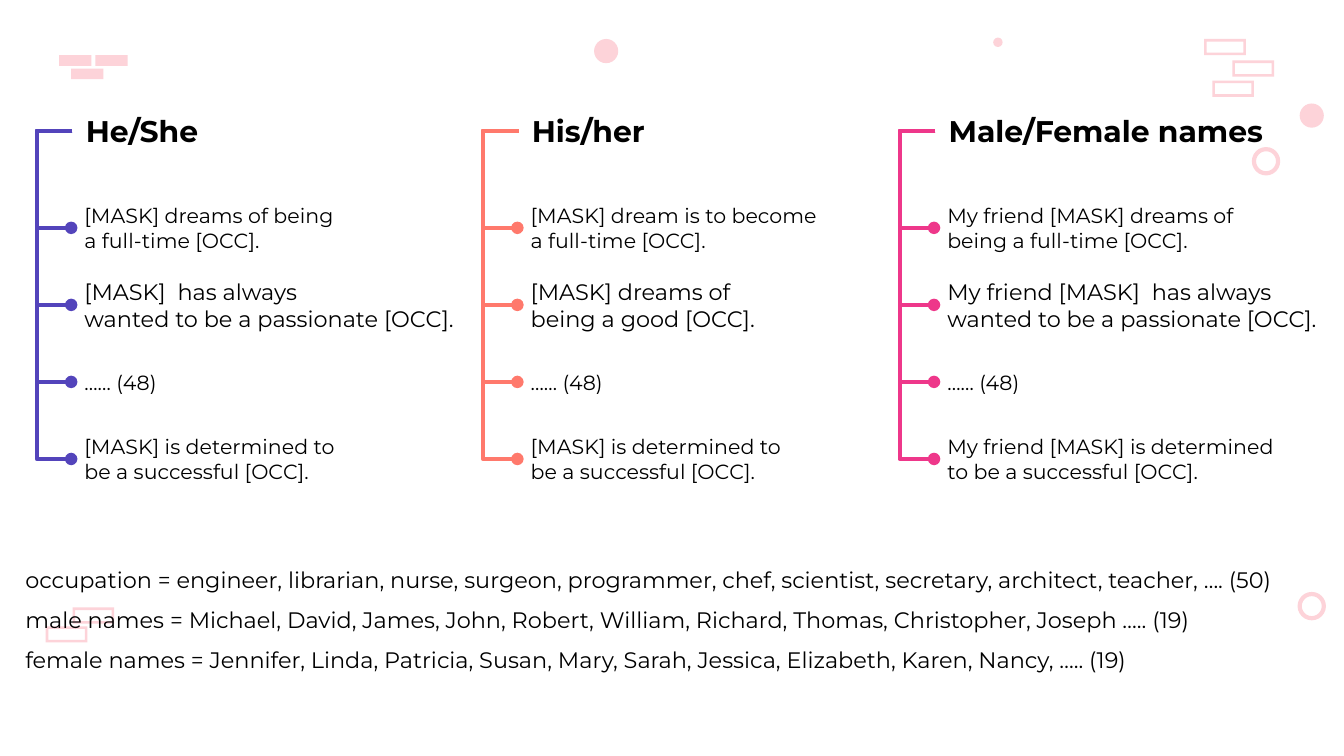
from lxml import etree
from pptx import Presentation
from pptx.dml.color import RGBColor
from pptx.enum.shapes import MSO_CONNECTOR, MSO_SHAPE
from pptx.enum.text import MSO_ANCHOR, PP_ALIGN
from pptx.oxml.ns import qn
from pptx.util import Inches, Pt

WHITE = RGBColor(0xFF, 0xFF, 0xFF)
BLACK = RGBColor(0, 0, 0)
PINK = RGBColor(0xFD, 0xD3, 0xD9)
VIOLET = RGBColor(0x53, 0x44, 0xBB)
CORAL = RGBColor(0xFF, 0x79, 0x6C)
MAGENTA = RGBColor(0xEE, 0x37, 0x8A)

COL_W, ROW_H = 4.09, 0.47
FIRST_ROW, LAST_ROW = 1.46, 3.18
ROW_STEP = (LAST_ROW - FIRST_ROW) / 3
HEAD_TOP, HEAD_H = 0.61, 0.73
NUDGE, SPINE_GAP = 0.01, 0.27
SIZES = (11, 12, 11, 11)

# Left edge, colour, heading, one list of paragraphs per row
COLUMNS = [
    (0.53, VIOLET, "He/She", [
        ["[MASK] dreams of being \na full-time [OCC]."],
        ["[MASK]  has always", "wanted to be a passionate [OCC]."],
        ["…… (48)"],
        ["[MASK] is determined to \nbe a successful [OCC]."]]),
    (3.85, CORAL, "His/her", [
        ["[MASK] dream is to become \na full-time [OCC]."],
        ["[MASK] dreams of \nbeing a good [OCC]."],
        ["…… (48)"],
        ["[MASK] is determined to \nbe a successful [OCC]."]]),
    (6.95, MAGENTA, "Male/Female names", [
        ["My friend [MASK] dreams of \nbeing a full-time [OCC]."],
        ["My friend [MASK]  has always \nwanted to be a passionate [OCC]."],
        ["…… (48)"],
        ["My friend [MASK] is determined \nto be a successful [OCC]."]]),
]

WORD_LISTS = [
    "occupation = engineer, librarian, nurse, surgeon, programmer, chef, scientist, secretary, architect, teacher, …. (50)",
    "male names = Michael, David, James, John, Robert, William, Richard, Thomas, Christopher, Joseph ….. (19)",
    "female names = Jennifer, Linda, Patricia, Susan, Mary, Sarah, Jessica, Elizabeth, Karen, Nancy, ….. (19)",
]

BRICKS = [(0.53, 0.51), (0.44, 0.41), (0.71, 0.41)]
FRAMES = [(9.17, 0.45), (8.96, 0.29), (9.02, 0.6), (0.54, 4.52), (0.34, 4.66)]
DOTS = [(7.39, 0.28, 0.07), (9.67, 0.77, 0.18), (4.42, 0.29, 0.18)]
RINGS = [(9.67, 4.42, 0.18), (9.33, 1.11, 0.18)]


def add_shape(s, kind, x, y, w, h, fill=None, line=None):
    sp = s.shapes.add_shape(kind, Inches(x), Inches(y), Inches(w), Inches(h))
    sp.shadow.inherit = False
    if fill is None:
        sp.fill.background()
    else:
        sp.fill.solid()
        sp.fill.fore_color.rgb = fill
    if line is None:
        sp.line.fill.background()
    else:
        sp.line.color.rgb = line
        sp.line.width = Pt(2.25)
    return sp


def write(sp, paragraphs, size, bold=False, spacing=None, anchor=MSO_ANCHOR.MIDDLE):
    tf = sp.text_frame
    frame_format = {"word_wrap": True, "vertical_anchor": anchor}
    for side in ("left", "right", "top", "bottom"):
        frame_format["margin_" + side] = Inches(0.1)
    for name, value in frame_format.items():
        setattr(tf, name, value)
    for i, text in enumerate(paragraphs):
        p = tf.paragraphs[0] if i == 0 else tf.add_paragraph()
        p.text = text.replace("\n", "\v")
        p.alignment = PP_ALIGN.LEFT
        p.line_spacing = spacing
        for r in p.runs:
            for name, value in {"name": "Montserrat", "size": Pt(size), "bold": bold}.items():
                setattr(r.font, name, value)
            r.font.color.rgb = BLACK


def add_text(s, x, y, w, h, paragraphs, size, **style):
    box = s.shapes.add_textbox(Inches(x), Inches(y), Inches(w), Inches(h))
    write(box, paragraphs, size, **style)


def add_branch(s, x, y, color):
    """Elbow from the heading, out to the spine, back to a row."""
    cn = s.shapes.add_connector(MSO_CONNECTOR.ELBOW, Inches(x + NUDGE),
                                Inches(HEAD_TOP + HEAD_H / 2), Inches(x), Inches(y))
    cn.line.color.rgb = color
    cn.line.width = Pt(2.25)
    etree.SubElement(cn.line._get_or_add_ln(), qn("a:tailEnd"), type="oval")
    etree.SubElement(cn._element.spPr, qn("a:effectLst"))
    # The bend is measured in units of the connector's own width
    guides = cn._element.spPr.find(qn("a:prstGeom")).get_or_add_avLst()
    bend = round(SPINE_GAP / NUDGE * 100000)
    etree.SubElement(guides, qn("a:gd"), name="adj1", fmla=f"val {bend}")


def add_decoration(s):
    for x, y in BRICKS:
        add_shape(s, MSO_SHAPE.RECTANGLE, x, y, 0.24, 0.08, fill=PINK)
    for x, y in FRAMES:
        frame = add_shape(s, MSO_SHAPE.FRAME, x, y, 0.31, 0.12, fill=PINK)
        frame.adjustments[0] = 0.16
    for x, y, d in DOTS:
        add_shape(s, MSO_SHAPE.OVAL, x, y, d, d, fill=PINK)
    for x, y, d in RINGS:
        add_shape(s, MSO_SHAPE.OVAL, x, y, d, d, line=PINK)


def add_column(s, x, color, heading, rows):
    add_text(s, x + NUDGE, HEAD_TOP, COL_W, HEAD_H, [heading], 16, bold=True)
    for i, (paragraphs, size) in enumerate(zip(rows, SIZES)):
        y = FIRST_ROW + i * ROW_STEP
        row = add_shape(s, MSO_SHAPE.ROUNDED_RECTANGLE, x, y, COL_W, ROW_H)
        row.adjustments[0] = 0
        write(row, paragraphs, size)
        add_branch(s, x, y + ROW_H / 2, color)


def main():
    prs = Presentation()
    # Widescreen, 16:9
    prs.slide_width = Inches(10)
    prs.slide_height = Inches(10 * 9 / 16)
    s = prs.slides.add_slide(prs.slide_layouts[6])
    s.background.fill.solid()
    s.background.fill.fore_color.rgb = WHITE

    add_decoration(s)
    # Template columns
    for column in COLUMNS:
        add_column(s, *column)
    # Word lists
    add_text(s, 0.09, 4.01, 9.91, 0.99, WORD_LISTS, 12, spacing=1.5, anchor=MSO_ANCHOR.TOP)
    prs.save("out.pptx")


if __name__ == "__main__":
    main()
